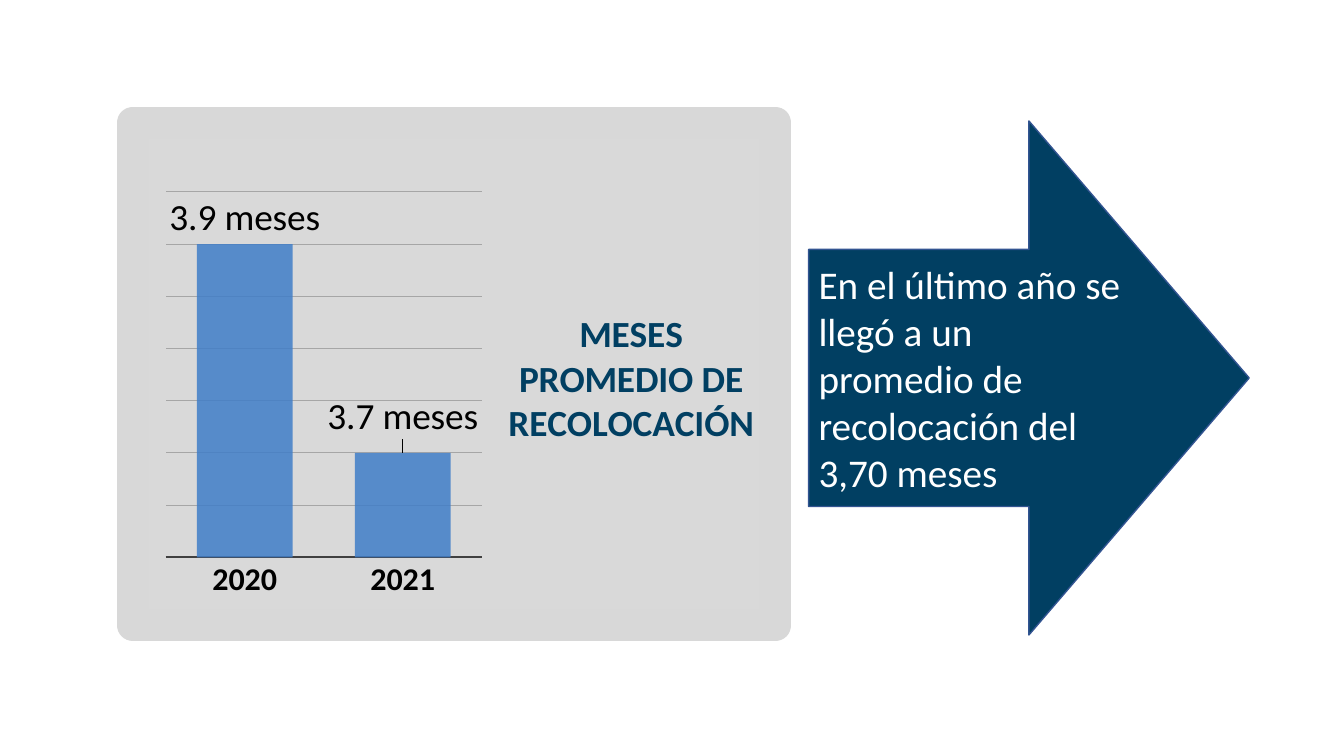
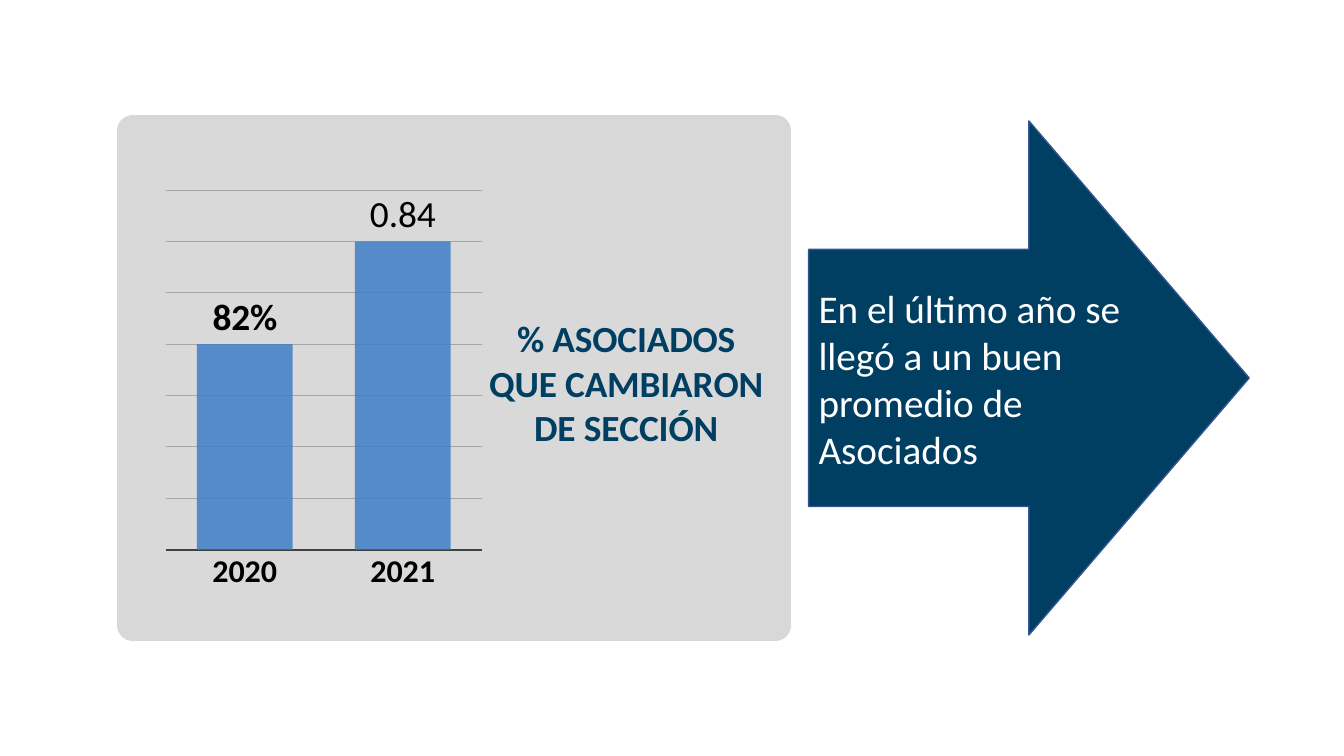
import pptx
import pptx.chart.data
import pptx.dml.color
import pptx.enum.chart
import pptx.enum.shapes
import pptx.enum.text
import pptx.oxml
import pptx.oxml.ns
import pptx.util

Inches, Pt = pptx.util.Inches, pptx.util.Pt
qn = pptx.oxml.ns.qn

FONT = "Calibri"
COLORS = {
    "navy": "013F62", "edge": "325491", "bar": "407EC8", "panel": "D9D9D9",
    "border": "D8D8D8", "grid": "A6A6A6", "axis": "404040",
    "black": "000000", "white": "FFFFFF",
}
YEARS = ["2020", "2021"]
# scale: minimum, maximum, step; labels: point -> text; lift: point -> label shift
SLIDES = [
    {
        "title": "MESES\nPROMEDIO DE\nRECOLOCACIÓN", "title_at": (0.58, 0.37),
        "values": (3.9, 3.7), "format": "0.0", "scale": (3.6, 3.95, 0.05),
        "labels": {0: "3.9 meses", 1: "3.7 meses"}, "lift": {1: -0.02},
        "top": 1.06, "plot": (0.051, 0.138, 0.492, 0.727),
        "note": "En el último año se llegó a un promedio de recolocación del 3,70 meses",
    },
    {
        "title": "% ASOCIADOS\nQUE CAMBIARON\nDE SECCIÓN", "title_at": (0.55, 0.37),
        "values": (0.82, 0.84), "format": "0%", "scale": (0.78, 0.85, 0.01),
        "labels": {1: "0.84"}, "lift": {},
        "top": 1.14, "plot": (0.051, 0.12, 0.492, 0.727),
        "note": "En el último año se llegó a un buen promedio de Asociados",
    },
]
BOTTOM = 6.36


def rgb(name):
    return pptx.dml.color.RGBColor.from_string(COLORS[name])


def style(font, size, color, bold=False):
    font.name, font.size, font.bold = FONT, Pt(size), bold
    font.color.rgb = rgb(color)


def stroke(line, color, width):
    line.color.rgb = rgb(color)
    line.width = Pt(width)


def place(parent, index, edge=True, inner=False, **sizes):
    """Give a chart part a manual layout, in fractions of the chart."""
    for old in parent.findall(qn("c:layout")):
        parent.remove(old)
    tags = '<c:layoutTarget val="inner"/>' if inner else ""
    if edge:
        tags += '<c:xMode val="edge"/><c:yMode val="edge"/>'
    tags += "".join(f'<c:{key} val="{val}"/>' for key, val in sizes.items())
    parent.insert(index, pptx.oxml.parse_xml(
        f'<c:layout {pptx.oxml.ns.nsdecls("c")}>'
        f"<c:manualLayout>{tags}</c:manualLayout></c:layout>"))


def fill_panel(chart):
    fill, line = COLORS["panel"], COLORS["border"]
    chart.element.find(qn("c:chart")).addnext(pptx.oxml.parse_xml(
        f'<c:spPr {pptx.oxml.ns.nsdecls("c", "a")}>'
        f'<a:solidFill><a:srgbClr val="{fill}"/></a:solidFill>'
        f'<a:ln w="{Pt(24)}"><a:solidFill><a:srgbClr val="{line}"/></a:solidFill>'
        "<a:round/></a:ln></c:spPr>"))


def format_axes(chart, item):
    years, values = chart.category_axis, chart.value_axis
    years.major_tick_mark = pptx.enum.chart.XL_TICK_MARK.NONE
    style(years.tick_labels.font, 24, "black", True)
    stroke(years.format.line, "axis", 1.5)
    values.minimum_scale, values.maximum_scale, values.major_unit = item["scale"]
    values.visible = False
    stroke(values.major_gridlines.format.line, "grid", 0.75)


def format_bars(chart, item):
    plot = chart.plots[0]
    plot.gap_width, plot.vary_by_categories = 65, False
    bars = plot.series[0]
    bars.format.fill.solid()
    bars.format.fill.fore_color.rgb = rgb("bar")
    tint = bars.format.fill._xPr.find(".//" + qn("a:srgbClr"))
    tint.append(pptx.oxml.parse_xml(
        f'<a:alpha {pptx.oxml.ns.nsdecls("a")} val="85000"/>'))

    above = pptx.enum.chart.XL_LABEL_POSITION.OUTSIDE_END
    labels = bars.data_labels
    labels.show_value, labels.position = True, above
    labels.number_format, labels.number_format_is_linked = item["format"], False
    style(labels.font, 28, "black", True)
    for index, text in item["labels"].items():
        label = bars.points[index].data_label
        label.text_frame.text = text
        style(label.text_frame.paragraphs[0].runs[0].font, 28, "black")
        label.position = above
        if index in item["lift"]:
            place(label._dLbl, 1, edge=False, x=0, y=item["lift"][index])


def add_panel(slide, item):
    data = pptx.chart.data.CategoryChartData(number_format=item["format"])
    data.categories = YEARS
    data.add_series("Series 1", item["values"])
    chart = slide.shapes.add_chart(
        pptx.enum.chart.XL_CHART_TYPE.COLUMN_CLUSTERED, Inches(1.16),
        Inches(item["top"]), Inches(6.69), Inches(BOTTOM - item["top"]), data).chart
    style(chart.font, 10, "black")
    chart.has_legend = False
    fill_panel(chart)

    title = chart.chart_title
    title.text_frame.text = item["title"]
    for para in title.text_frame.paragraphs:
        para.alignment = pptx.enum.text.PP_ALIGN.CENTER
        style(para.font, 28, "navy", True)
        for run in para.runs:
            style(run.font, 28, "navy", True)
    x, y = item["title_at"]
    place(title._element, 1, x=x, y=y)
    title.include_in_layout = False

    x, y, w, h = item["plot"]
    place(chart.element.find(".//" + qn("c:plotArea")), 0, inner=True, x=x, y=y, w=w, h=h)
    format_axes(chart, item)
    format_bars(chart, item)


def add_arrow(slide, note):
    arrow = slide.shapes.add_shape(
        pptx.enum.shapes.MSO_SHAPE.RIGHT_ARROW,
        Inches(8.02), Inches(1.2), Inches(4.37), Inches(5.1))
    arrow.shadow.inherit = False
    arrow.fill.solid()
    arrow.fill.fore_color.rgb = rgb("navy")
    stroke(arrow.line, "edge", 1)
    frame = arrow.text_frame
    frame.word_wrap = True
    frame.vertical_anchor = pptx.enum.text.MSO_ANCHOR.MIDDLE
    frame.text = note
    para = frame.paragraphs[0]
    para.alignment = pptx.enum.text.PP_ALIGN.LEFT
    style(para.font, 28, "white")


def main():
    deck = pptx.Presentation()
    deck.slide_width, deck.slide_height = Inches(13.33), Inches(7.5)
    blank = deck.slide_layouts[6]
    for item in SLIDES:
        slide = deck.slides.add_slide(blank)
        add_panel(slide, item)
        add_arrow(slide, item["note"])
    deck.save("out.pptx")


if __name__ == "__main__":
    main()
